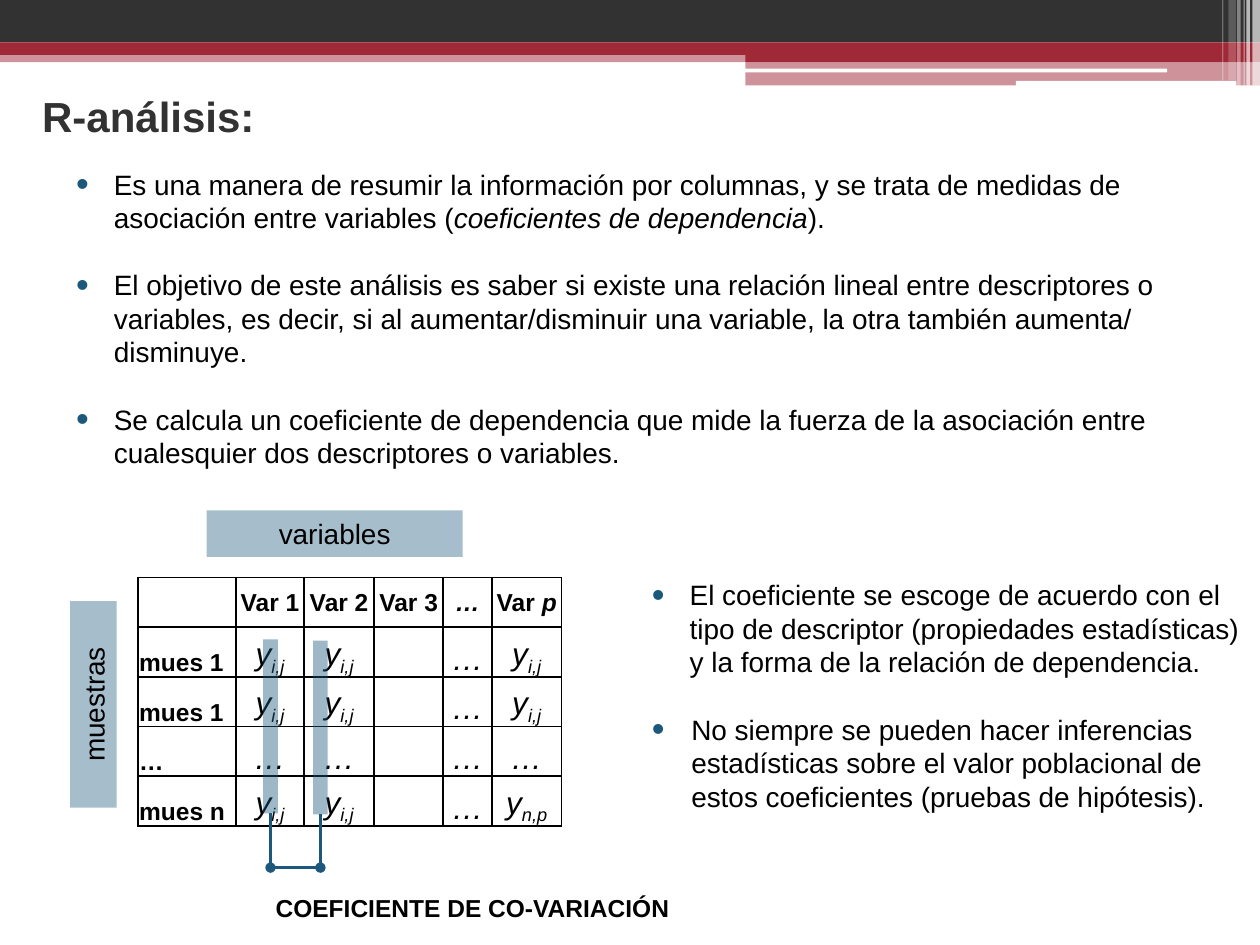
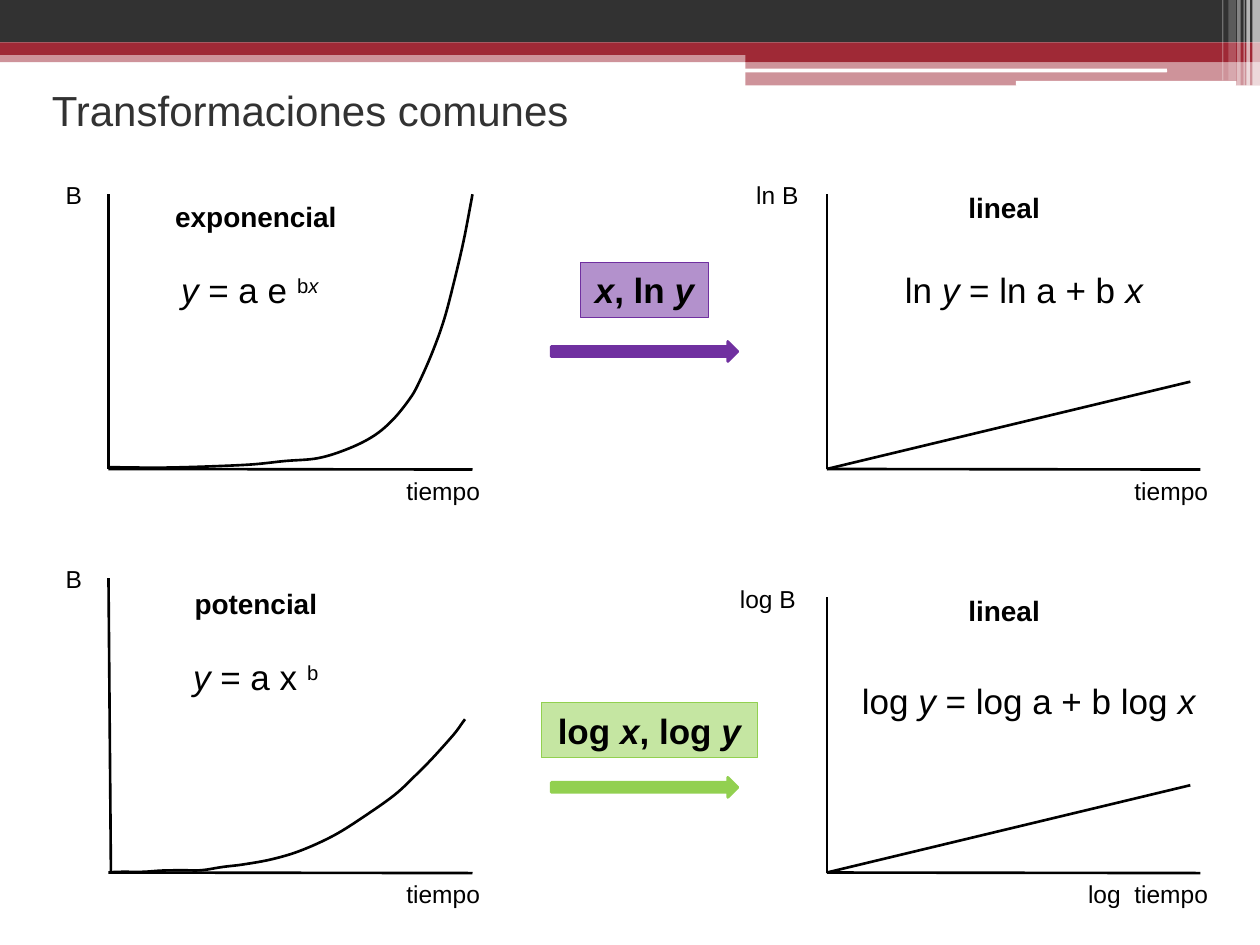
import dataclasses

import lxml.etree
import pptx
import pptx.dml.color
import pptx.enum.shapes
import pptx.enum.text
import pptx.oxml.ns
import pptx.util

Pt = pptx.util.Pt
qn = pptx.oxml.ns.qn
Align = pptx.enum.text.PP_ALIGN
Anchor = pptx.enum.text.MSO_ANCHOR
Form = pptx.enum.shapes.MSO_SHAPE
Link = pptx.enum.shapes.MSO_CONNECTOR


@dataclasses.dataclass(frozen=True)
class Theme:
    font: str = "Arial"
    dark: str = "323232"
    red: str = "9F2936"
    blue: str = "1B587C"
    white: str = "FFFFFF"
    black: str = "000000"
    violet: str = "7030A0"
    green: str = "92D050"
    title: float = 24
    formula: float = 20
    symbol: float = 18
    body: float = 16
    label: float = 14
    stroke: float = 1.5


THEME = Theme()

BANDS = [
    (0, 28.8, 720, 6.7, THEME.red, 50),
    (0, 0, 720, 24.3, THEME.dark, 100),
    (0, 24.2, 720, 7.2, THEME.red, 100),
    (426, 28.2, 294, 7.2, THEME.red, 100),
    (426, 35, 294, 13.8, THEME.red, 50),
    (425.5, 39.2, 241.4, 2.2, THEME.white, 100),
    (580.5, 46.2, 126, 2.8, THEME.white, 100),
    (715.7, 0, 4.3, 49, THEME.white, 65),
    (712.2, 0, 2, 49, THEME.white, 65),
    (710.6, 0, 0.7, 49, THEME.white, 60),
    (707, 0, 2, 49, THEME.white, 40),
    (702, 0, 4.3, 46, THEME.white, 20),
    (698.4, 0, 0.7, 46, THEME.white, 30),
]

GROWTH = [
    (62, 267), (96.5, 267.2), (139.7, 265.7), (162.7, 263.5), (182, 261.8),
    (199.4, 256.3), (213.8, 249), (224.6, 239.8), (234, 228.2), (239, 219.6),
    (247, 201.6), (254, 182), (260, 159), (265, 137.5), (269.3, 115), (270, 111),
]
POWER = [
    (63.4, 498.4), (70, 498.2), (82, 498.2), (92.2, 497.5), (104.4, 497.3),
    (115, 497.3), (127.4, 495.4), (139, 494), (155.5, 491), (172, 486),
    (190.8, 477.4), (208, 466.6), (225.4, 454.3), (237, 443.5), (247, 433.4),
    (259.2, 419.8), (264.3, 412.9), (265.7, 411),
]


def tint(code):
    return pptx.dml.color.RGBColor.from_string(code)


def assign(target, values):
    for name, value in values.items():
        setattr(target, name, value)


def write(para, runs, size, color=THEME.black):
    for text, marks in runs:
        run = para.add_run()
        run.text = text
        assign(run.font, {"name": THEME.font, "size": Pt(size),
                          "bold": "b" in marks, "italic": "i" in marks})
        run.font.color.rgb = tint(color)
        shift = "30000" if "^" in marks else "-25000" if "_" in marks else None
        if shift:
            run._r.get_or_add_rPr().set("baseline", shift)


def frame(shape, anchor=Anchor.TOP):
    assign(shape.text_frame, {
        "word_wrap": True, "auto_size": pptx.enum.text.MSO_AUTO_SIZE.NONE,
        "vertical_anchor": anchor,
        "margin_left": Pt(7.2), "margin_right": Pt(7.2),
        "margin_top": Pt(3.6), "margin_bottom": Pt(3.6)})
    return shape.text_frame


def place(shape, spot):
    assign(shape, dict(zip(("left", "top", "width", "height"), map(Pt, spot))))


def head(slide, text, spot, marks=""):
    place(slide.shapes.title, spot)
    para = frame(slide.shapes.title).paragraphs[0]
    para.alignment = Align.LEFT
    write(para, [(text, marks)], THEME.title, THEME.dark)


def note(slide, spot, runs, size=THEME.label, align=Align.CENTER):
    para = frame(slide.shapes.add_textbox(*map(Pt, spot))).paragraphs[0]
    para.alignment = align
    write(para, runs, size)


def block(slide, spot, color, alpha=100, form=Form.RECTANGLE, edge=0):
    shape = slide.shapes.add_shape(form, *map(Pt, spot))
    shape.shadow.inherit = False
    shape.fill.solid()
    shape.fill.fore_color.rgb = tint(color)
    if alpha < 100:
        paint = shape.element.spPr.find(".//" + qn("a:srgbClr"))
        lxml.etree.SubElement(paint, qn("a:alpha"), val=str(alpha * 1000))
    if edge:
        shape.line.color.rgb = tint(color)
        shape.line.width = Pt(edge)
    else:
        shape.line.fill.background()
    return shape


def label(shape, runs, size):
    para = frame(shape, Anchor.MIDDLE).paragraphs[0]
    para.alignment = Align.CENTER
    write(para, runs, size)


def line(slide, start, end, color=THEME.black):
    link = slide.shapes.add_connector(Link.STRAIGHT, *map(Pt, start + end))
    link.line.color.rgb = tint(color)
    link.line.width = Pt(THEME.stroke)
    lxml.etree.SubElement(link.element.spPr, qn("a:effectLst"))
    return link


def dots(link):
    stroke = link.element.spPr.find(qn("a:ln"))
    for end in ("a:headEnd", "a:tailEnd"):
        lxml.etree.SubElement(stroke, qn(end), type="oval")


def bands(slide, master):
    for index, (*spot, color, alpha) in enumerate(BANDS):
        form = Form.ROUNDED_RECTANGLE if index in (5, 6) else Form.RECTANGLE
        shape = block(slide, spot, color, alpha, form)
        shape.element.nvSpPr.cNvPr.set("id", str(20 + index))
        master.shapes.element.append(shape.element)


def strip_footers(layout):
    for holder in list(layout.placeholders):
        if holder.placeholder_format.idx >= 10:
            layout.shapes.element.remove(holder.element)


def bullets(slide, spot, items):
    body = frame(slide.shapes.add_textbox(*map(Pt, spot)))
    for index, (runs, indent) in enumerate(items):
        para = body.add_paragraph() if index else body.paragraphs[0]
        lead = Pt(THEME.body * 1.2)
        assign(para, {"line_spacing": lead, "space_before": lead if index else Pt(0)})
        props = para._p.get_or_add_pPr()
        props.set("marL", str(Pt(indent)))
        props.set("indent", str(-Pt(indent)))
        paint = lxml.etree.SubElement(props, qn("a:buClr"))
        lxml.etree.SubElement(paint, qn("a:srgbClr"), val=THEME.blue)
        lxml.etree.SubElement(props, qn("a:buSzPct"), val="130000")
        lxml.etree.SubElement(props, qn("a:buFont"), typeface=THEME.font)
        lxml.etree.SubElement(props, qn("a:buChar"), char="•")
        write(para, runs, THEME.body)


def border(cell):
    props = cell._tc.get_or_add_tcPr()
    for side in ("a:lnL", "a:lnR", "a:lnT", "a:lnB"):
        edge = lxml.etree.SubElement(props, qn(side), w=str(Pt(1)))
        paint = lxml.etree.SubElement(edge, qn("a:solidFill"))
        lxml.etree.SubElement(paint, qn("a:srgbClr"), val=THEME.black)


def matrix(slide, spot, widths, rows):
    table = slide.shapes.add_table(len(rows), len(widths), *map(Pt, spot)).table
    assign(table, {"first_row": False, "horz_banding": False})
    for column, width in zip(table.columns, widths):
        column.width = Pt(width)
    for y, row in enumerate(rows):
        table.rows[y].height = Pt(spot[3] / len(rows))
        for x, runs in enumerate(row):
            cell = table.cell(y, x)
            border(cell)
            cell.fill.background()
            assign(cell, {"margin_left": Pt(0.7), "margin_right": Pt(0.7),
                          "margin_top": Pt(0.7), "margin_bottom": Pt(0),
                          "vertical_anchor": Anchor.BOTTOM if y else Anchor.MIDDLE})
            para = cell.text_frame.paragraphs[0]
            para.alignment = Align.CENTER if x else Align.LEFT
            write(para, runs, THEME.symbol if x and y else THEME.label)


def bend(shape, spots):
    ring = [spots[0], *spots, spots[-1]]
    steps = list(shape.element.spPr.iter(qn("a:lnTo")))
    for step, a, b, c, d in zip(steps, ring, ring[1:], ring[2:], ring[3:]):
        arc = lxml.etree.Element(qn("a:cubicBezTo"))
        knots = ([q + (r - p) / 6 for p, q, r in zip(a, b, c)],
                 [r - (s - q) / 6 for q, r, s in zip(b, c, d)], c)
        for x, y in knots:
            lxml.etree.SubElement(arc, qn("a:pt"), x=str(round(x - shape.left)),
                                  y=str(round(y - shape.top)))
        step.getparent().replace(step, arc)


def curve(slide, points):
    spots = [(Pt(x), Pt(y)) for x, y in points]
    pen = slide.shapes.build_freeform(*spots[0])
    pen.add_line_segments(spots[1:], close=False)
    shape = pen.convert_to_shape()
    bend(shape, spots)
    shape.shadow.inherit = False
    shape.fill.background()
    shape.line.color.rgb = tint(THEME.black)
    shape.line.width = Pt(THEME.stroke)


def axes(slide, left, top, right, base, lean=0):
    line(slide, (left, top), (left + lean, base))
    line(slide, (left, base), (right, base + 0.3))


def change(slide, spot, runs, color, top):
    block(slide, (315, top, 106.6, 11.5), color, 100, Form.RIGHT_ARROW, THEME.stroke)
    label(block(slide, spot, color, 53, edge=0.75), runs, THEME.formula)


def analysis(slide):
    head(slide, "R-análisis:", (16.9, 48.2, 152, 36), "b")
    bullets(slide, (36.4, 91.9, 680.4, 181.4), [
        ([("Es una manera de resumir la información por columnas, y se trata de medidas "
           "de asociación entre variables (", ""),
          ("coeficientes de dependencia", "i"), (").", "")], 21.6),
        ([("El objetivo de este análisis es saber si existe una relación lineal entre "
           "descriptores o variables, es decir, si al aumentar/disminuir una variable, "
           "la otra también aumenta/ disminuye.", "")], 21.6),
        ([("Se calcula un coeficiente de dependencia que mide la fuerza de la asociación "
           "entre cualesquier dos descriptores o variables.", "")], 21.6)])
    bullets(slide, (365.4, 326.6, 352.5, 143.3), [
        ([("El coeficiente se escoge de acuerdo con el tipo de descriptor (propiedades "
           "estadísticas) y la forma de la relación de dependencia.", "")], 21.6),
        ([("No siempre se pueden hacer inferencias estadísticas sobre el valor poblacional "
           "de estos coeficientes (pruebas de hipótesis).", "")], 22.5)])

    value = [("y", "i"), ("i,j", "i_")]
    last = [("y", "i"), ("n,p", "i_")]
    more = [("…", "i")]
    top = [[], *([(f"Var {n}", "b")] for n in (1, 2, 3)),
           [("…", "bi")], [("Var ", "b"), ("p", "bi")]]
    rows = [[[(name, "b")], cell, cell, [], more, end] for name, cell, end in (
        ("mues 1", value, value), ("mues 1", value, value),
        ("…", more, more), ("mues n", value, last))]
    matrix(slide, (78.8, 330, 242, 142), (56, 39, 40, 39.5, 28, 39.5), [top, *rows])

    label(block(slide, (118.1, 291.7, 146.3, 26.6), THEME.blue, 39),
          [("variables", "")], THEME.body)
    side = block(slide, (-5.7, 389.2, 118.1, 26.6), THEME.blue, 39)
    side.rotation = 270
    label(side, [("muestras", "")], THEME.body)
    note(slide, (150.4, 506.9, 266.4, 24.5), [("COEFICIENTE DE CO-VARIACIÓN", "b")],
         align=Align.LEFT)

    centers = (154.6, 183.1)
    for center, rise in zip(centers, (365.4, 366)):
        strip = block(slide, (center - 4.2, rise, 8.4, 99.4), THEME.blue, 42)
        stem = line(slide, (center, rise + 99.4), (center, 495), THEME.blue)
        stem.begin_connect(strip, 2)
    dots(line(slide, (centers[1], 495.8), (centers[0], 495.8), THEME.blue))


def shifts(slide):
    head(slide, "Transformaciones comunes", (22.4, 44.6, 371.5, 36))
    curve(slide, GROWTH)
    curve(slide, POWER)
    axes(slide, 62, 111, 270, 268)
    axes(slide, 62, 330.3, 270, 498.6, 1.4)
    for top, base in ((111, 268), (341.3, 498.6)):
        axes(slide, 472.5, top, 686, base)
        line(slide, (472.5, base), (680.2, base - 49.9))

    for left, top, name in ((78.5, 110.6, "exponencial"), (78.5, 331.9, "potencial"),
                            (506.1, 105.1, "lineal"), (506.1, 335.5, "lineal")):
        note(slide, (left, top, 135.4, 26.6), [(name, "b")], THEME.body)
    for right, top, name in ((281.4, 268.6, "tiempo"), (281.4, 499, "tiempo"),
                             (697.5, 268.6, "tiempo"), (697.5, 499, "log  tiempo")):
        note(slide, (right - 90, top, 90, 24.5), [(name, "")], align=Align.RIGHT)
    for center, top, name in ((42.1, 99.4, "B"), (42.1, 319, "B"),
                              (444.2, 99.4, "ln B"), (438.8, 330.2, "log B")):
        note(slide, (center - 33.8, top, 67.6, 24.5), [(name, "")])

    for spot, runs in (
            ((86.6, 150.1, 112.3, 31.7),
             [("y", "i"), (" = a e ", ""), ("b", "^"), ("x", "i^")]),
            ((90, 371.1, 112.3, 31.7), [("y", "i"), (" = a x ", ""), ("b", "^")]),
            ((495.1, 150.1, 180, 31.7),
             [("ln ", ""), ("y", "i"), (" = ln a + b ", ""), ("x", "i")]),
            ((483.7, 384.5, 208.1, 31.7),
             [("log ", ""), ("y", "i"), (" = log a + b log ", ""), ("x", "i")])):
        note(slide, spot, runs, THEME.formula)

    change(slide, (331.6, 149.9, 73.4, 31.5),
           [("x", "bi"), (", ln", "b"), (" y", "bi")], THEME.violet, 195.1)
    change(slide, (309.3, 401.4, 123.6, 31.5),
           [("log", "b"), (" x", "bi"), (", log", "b"), (" y", "bi")], THEME.green, 444.2)


def main():
    deck = pptx.Presentation()
    assign(deck, {"slide_width": Pt(720), "slide_height": Pt(540)})
    layout = deck.slide_layouts[5]
    strip_footers(layout)
    first, second = (deck.slides.add_slide(layout) for _ in range(2))
    bands(first, deck.slide_master)
    analysis(first)
    shifts(second)
    deck.save("out.pptx")


if __name__ == "__main__":
    main()
